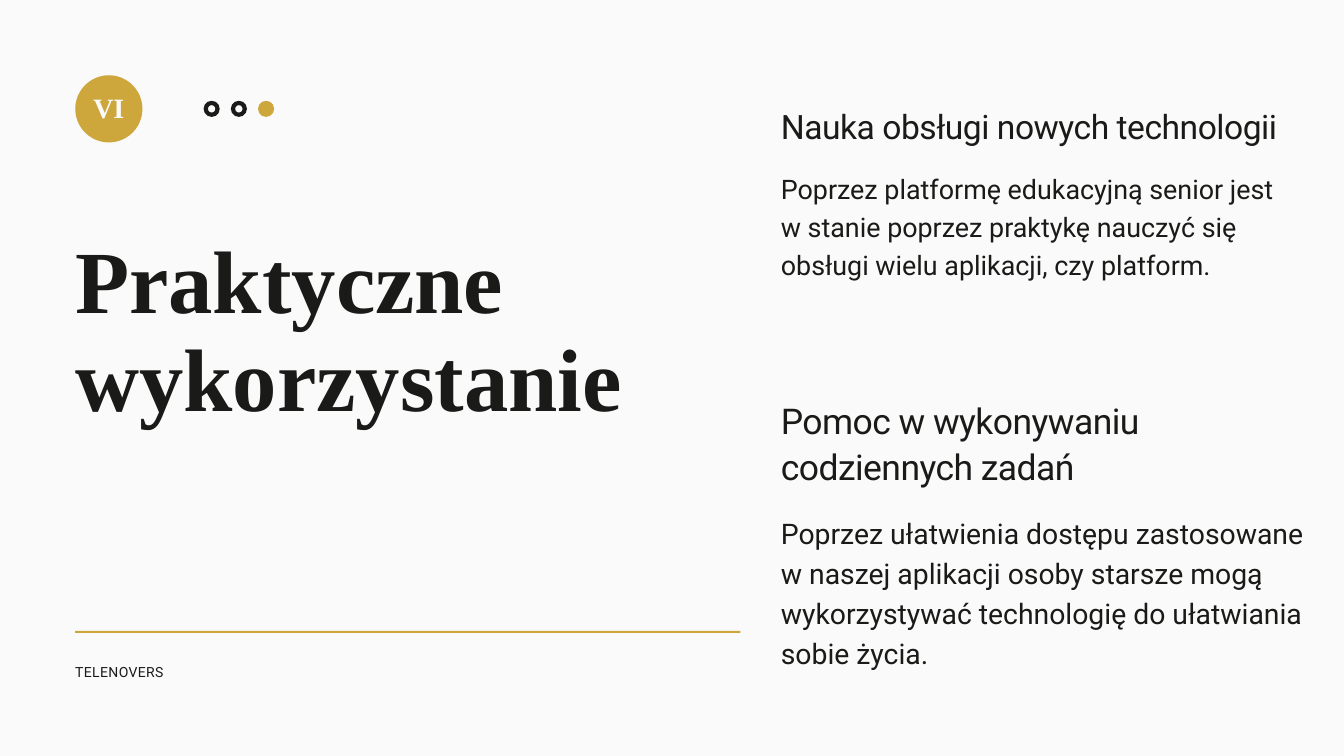
from pptx import Presentation
from pptx.dml.color import RGBColor
from pptx.enum.shapes import MSO_SHAPE as Shape
from pptx.enum.text import PP_ALIGN as Align
from pptx.util import Inches, Pt

INK, GOLD, PAPER = "1A1B18", "CDA63C", "FAFAFA"
SANS, SERIF = "Roboto", "Times New Roman"
LEFT, RIGHT, LEFT_WIDTH = 1.12, 11.62, 9.9


def color(value):
    """Turn a hex string into a colour."""
    return RGBColor.from_string(value)


def add_figure(slide, preset, box, fill):
    """Add a flat preset shape without an outline."""
    figure = slide.shapes.add_shape(preset, *map(Inches, box))
    figure.shadow.inherit = False
    figure.fill.solid()
    figure.fill.fore_color.rgb = color(fill)
    figure.line.fill.background()
    return figure


def add_text(slide, words, box, size, leading, font=SANS, fill=INK,
             bold=False, tracking=0, align=Align.LEFT):
    """Add a wrapped text box with exact line spacing and no insets."""
    frame = slide.shapes.add_textbox(*map(Inches, box)).text_frame
    frame.word_wrap = True
    frame.margin_left = frame.margin_right = 0
    frame.margin_top = frame.margin_bottom = 0
    frame.text = words
    paragraph = frame.paragraphs[0]
    paragraph.alignment = align
    paragraph.line_spacing = Pt(leading)
    run = paragraph.runs[0]
    run.font.name = font
    run.font.size = Pt(size)
    run.font.bold = bold
    run.font.color.rgb = color(fill)
    if tracking:
        run._r.get_or_add_rPr().set("spc", str(round(tracking * 100)))


def add_badge(slide):
    """Add the gold circle with the chapter number."""
    add_figure(slide, Shape.OVAL, (LEFT, 1.12, 1, 1), GOLD)
    add_text(slide, "VI", (1.32, 1.39, 0.6, 0.48), 30, 33,
             SERIF, PAPER, bold=True, align=Align.CENTER)


def add_progress(slide):
    """Add two rings and a gold dot that marks the current part."""
    steps = [(Shape.DONUT, INK), (Shape.DONUT, INK), (Shape.OVAL, GOLD)]
    for index, (preset, fill) in enumerate(steps):
        box = (3.03 + index * 0.405, 1.5, 0.24, 0.24)
        step = add_figure(slide, preset, box, fill)
        if preset == Shape.DONUT:
            step.adjustments[0] = 0.27


def add_footer(slide):
    """Add the gold rule and the name under it."""
    add_figure(slide, Shape.RECTANGLE, (LEFT, 9.39, LEFT_WIDTH, 0.03), GOLD)
    add_text(slide, "TELENOVERS", (LEFT, 9.83, LEFT_WIDTH, 0.3),
             15, 21, tracking=0.4)


def main():
    """Build and save the slide."""
    deck = Presentation()
    deck.slide_width, deck.slide_height = Inches(20), Inches(11.25)
    slide = deck.slides.add_slide(deck.slide_layouts[6])
    slide.background.fill.solid()
    slide.background.fill.fore_color.rgb = color(PAPER)

    add_text(slide, "Nauka obsługi nowych technologii",
             (RIGHT, 1.53, 7.68, 0.69), 36, 46.9, tracking=-0.5)
    add_text(slide, "Poprzez platformę edukacyjną senior jest w stanie "
             "poprzez praktykę nauczyć się obsługi wielu aplikacji, "
             "czy platform.", (RIGHT, 2.49, 7.68, 1.68), 28.8, 40.4)
    add_text(slide, "Pomoc w wykonywaniu codziennych zadań",
             (RIGHT, 5.89, 8.1, 1.42), 38, 49.4, tracking=-0.6)
    add_text(slide, "Poprzez ułatwienia dostępu zastosowane w naszej "
             "aplikacji osoby starsze mogą wykorzystywać technologię "
             "do ułatwiania sobie życia.",
             (RIGHT, 7.6, 8.1, 2.35), 30.4, 42.6)
    add_text(slide, "Praktyczne wykorzystanie",
             (LEFT, 3.48, LEFT_WIDTH, 4.38), 95, 104.5, SERIF, bold=True)
    add_footer(slide)
    add_badge(slide)
    add_progress(slide)
    deck.save("out.pptx")


if __name__ == "__main__":
    main()
